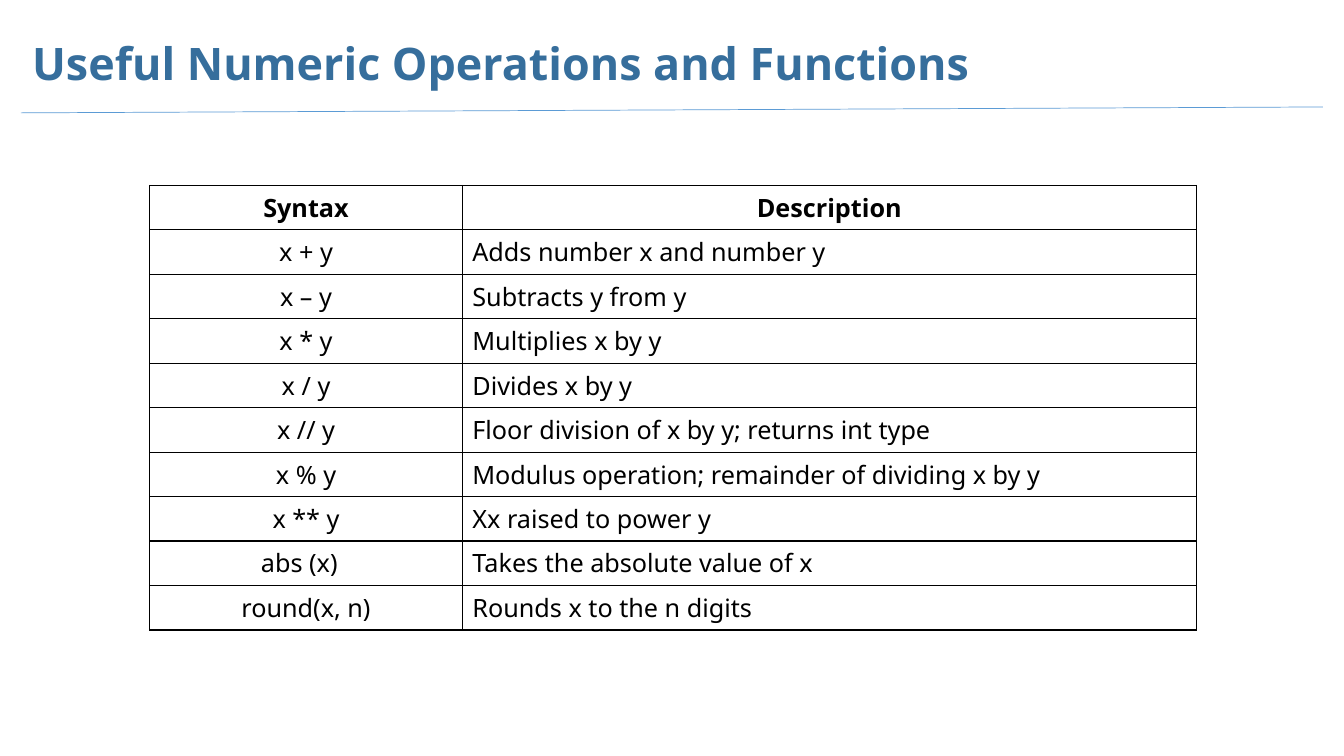
from dataclasses import dataclass

from lxml import etree
from pptx import Presentation, util as u
from pptx.dml.color import RGBColor
from pptx.enum import shapes, text
from pptx.oxml import ns


@dataclass(frozen=True)
class Theme:
    """Colours, font and type sizes of the slide."""
    font: str = "Noto Sans"
    heading: RGBColor = RGBColor(0x36, 0x6E, 0x9C)
    rule: RGBColor = RGBColor(0x5B, 0x9B, 0xD5)
    ink: RGBColor = RGBColor(0, 0, 0)
    heading_size: u.Pt = u.Pt(32)
    body_size: u.Pt = u.Pt(18)
    rule_width: u.Pt = u.Pt(0.5)
    border_width: u.Pt = u.Pt(1)


theme = Theme()
OPERATIONS = [
    ("Syntax", "Description"),
    ("x + y", "Adds number x and number y"),
    ("x – y", "Subtracts y from y"),
    ("x * y", "Multiplies x by y"),
    ("x / y", "Divides x by y"),
    ("x // y", "Floor division of x by y; returns int type"),
    ("x % y", "Modulus operation; remainder of dividing x by y"),
    ("x ** y", "Xx raised to power y"),
    ("abs (x)", "Takes the absolute value of x"),
    ("round(x, n)", "Rounds x to the n digits"),
]


def write(paragraph, words, size, color, bold=False):
    """Add one styled run to a paragraph."""
    run = paragraph.add_run()
    run.text = words
    run.font.name, run.font.size, run.font.bold = theme.font, size, bold
    run.font.color.rgb = color


def outline(cell):
    """Draw a solid border on all four sides of a cell."""
    properties = cell._tc.get_or_add_tcPr()
    for position, side in enumerate(("lnL", "lnR", "lnT", "lnB")):
        border = etree.Element(ns.qn(f"a:{side}"), w=str(theme.border_width))
        fill = etree.SubElement(border, ns.qn("a:solidFill"))
        etree.SubElement(fill, ns.qn("a:srgbClr"), val=str(theme.ink))
        properties.insert(position, border)


deck = Presentation()
deck.slide_width, deck.slide_height = u.Inches(13.33), u.Inches(7.5)
slide = deck.slides.add_slide(deck.slide_layouts[6])

# The slide is laid out on a grid of 100 columns by 100 rows.
column, row = deck.slide_width / 100, deck.slide_height / 100

heading = slide.shapes.add_textbox(
    int(1.65 * column), int(4 * row), int(75.92 * column), int(9.33 * row))
frame = heading.text_frame
frame.word_wrap = True
frame.vertical_anchor = text.MSO_ANCHOR.MIDDLE
frame.paragraphs[0].line_spacing = 0.9
write(frame.paragraphs[0], "Useful Numeric Operations and Functions",
      theme.heading_size, theme.heading, bold=True)

rule = slide.shapes.add_connector(
    shapes.MSO_CONNECTOR.STRAIGHT,
    int(1.56 * column), int(14.93 * row), int(98.42 * column), int(14.15 * row))
rule.line.color.rgb = theme.rule
rule.line.width = theme.rule_width
etree.SubElement(rule._element.spPr, ns.qn("a:effectLst"))

syntax_width, description_width = int(23.26 * column), int(54.61 * column)
operations = slide.shapes.add_table(
    len(OPERATIONS), 2, int(11.14 * column), int(24.53 * row),
    syntax_width + description_width, int(58.8 * row)).table
operations.columns[0].width = syntax_width
operations.columns[1].width = description_width
operations.first_row = operations.horz_banding = False

for line, entry in enumerate(OPERATIONS):
    for place, words in enumerate(entry):
        cell = operations.cell(line, place)
        cell.fill.background()
        outline(cell)
        paragraph = cell.text_frame.paragraphs[0]
        is_header = line == 0
        centred = is_header or place == 0
        paragraph.alignment = text.PP_ALIGN.CENTER if centred else text.PP_ALIGN.LEFT
        write(paragraph, words, theme.body_size, theme.ink, bold=is_header)
        if words == "abs (x)":
            cell.margin_right = int(1.75 * column)  # sits slightly left of centre

deck.save("out.pptx")
